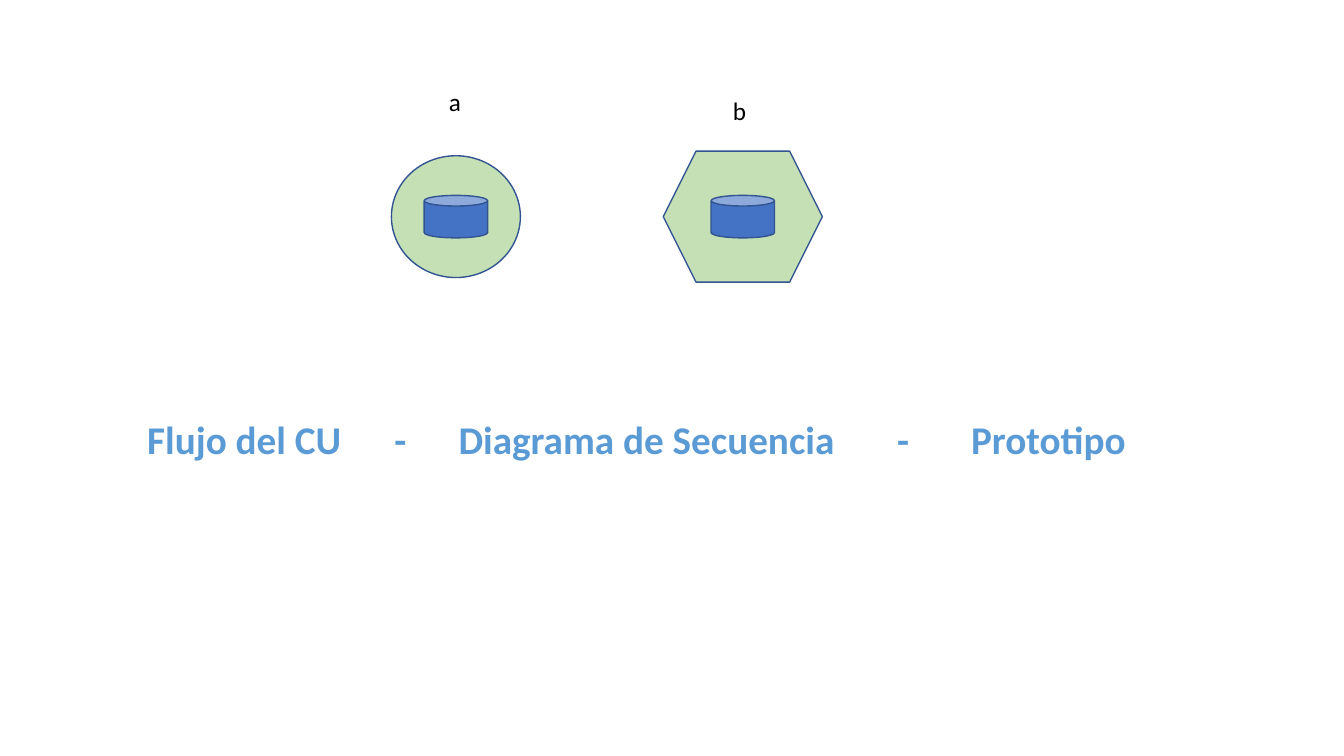
"""Build a slide with two lettered data symbols and a title naming three deliverables."""
from dataclasses import dataclass

from lxml.etree import SubElement
from pptx import Presentation
from pptx.dml.color import RGBColor
from pptx.enum.shapes import MSO_SHAPE
from pptx.enum.text import MSO_ANCHOR, MSO_AUTO_SIZE, PP_ALIGN
from pptx.oxml.ns import qn
from pptx.slide import Slide
from pptx.text.text import Font
from pptx.util import Cm, Pt

FONT = "Calibri"
GREEN, BLUE, OUTLINE = "C5E0B4", "4472C4", "325491"
BLACK, TITLE_BLUE = "000000", "5B9BD5"
CENTER_Y = 5.46
CAN_WIDTH, CAN_HEIGHT = 1.6, 1.07
LABEL_WIDTH, LABEL_HEIGHT = 0.84, 1.02
TITLE_PARTS = ("Flujo del CU", "-", "Diagrama de Secuencia", "-", "Prototipo")
TITLE_STOPS = (6.38, 12.58, 19.05, 22.71)


@dataclass(frozen=True)
class DataSymbol:
    letter: str
    outline: MSO_SHAPE
    center_x: float
    width: float
    height: float
    letter_x: float
    letter_top: float


SYMBOLS = (
    DataSymbol("b", MSO_SHAPE.HEXAGON, 18.72, 4.01, 3.3, 18.64, 2.29),
    DataSymbol("a", MSO_SHAPE.OVAL, 11.49, 3.25, 3.07, 11.48, 2.06),
)


def color(value: str) -> RGBColor:
    return RGBColor.from_string(value)


def style_font(font: Font, size: float, value: str, bold: bool = False) -> None:
    font.name = FONT
    font.size = Pt(size)
    font.bold = bold
    font.color.rgb = color(value)


def draw_centered(slide: Slide, kind: MSO_SHAPE, center_x: float,
                  width: float, height: float, fill: str) -> None:
    shape = slide.shapes.add_shape(
        kind, Cm(center_x - width / 2), Cm(CENTER_Y - height / 2), Cm(width), Cm(height))
    shape.shadow.inherit = False
    shape.fill.solid()
    shape.fill.fore_color.rgb = color(fill)
    shape.line.color.rgb = color(OUTLINE)
    shape.line.width = Pt(1)


def draw_symbol(slide: Slide, symbol: DataSymbol) -> None:
    draw_centered(slide, symbol.outline, symbol.center_x, symbol.width, symbol.height, GREEN)
    draw_centered(slide, MSO_SHAPE.CAN, symbol.center_x, CAN_WIDTH, CAN_HEIGHT, BLUE)
    label = slide.shapes.add_textbox(
        Cm(symbol.letter_x - LABEL_WIDTH / 2), Cm(symbol.letter_top),
        Cm(LABEL_WIDTH), Cm(LABEL_HEIGHT))
    frame = label.text_frame
    frame.text = symbol.letter
    frame.word_wrap = False
    frame.auto_size = MSO_AUTO_SIZE.SHAPE_TO_FIT_TEXT
    style_font(frame.paragraphs[0].runs[0].font, 18, BLACK)


def write_title(slide: Slide) -> None:
    title = slide.shapes.title
    title.left, title.top, title.width, title.height = Cm(2.77), Cm(10.34), Cm(26.52), Cm(1.45)
    frame = title.text_frame
    frame.text = "\t".join(TITLE_PARTS)
    frame.word_wrap = True
    frame.auto_size = MSO_AUTO_SIZE.NONE
    frame.vertical_anchor = MSO_ANCHOR.MIDDLE
    frame.margin_left = Cm(0.94)
    paragraph = frame.paragraphs[0]
    paragraph.alignment = PP_ALIGN.LEFT
    tabs = SubElement(paragraph._p.get_or_add_pPr(), qn("a:tabLst"))
    for stop in TITLE_STOPS:
        SubElement(tabs, qn("a:tab"), pos=str(Cm(stop)), algn="ctr")
    for run in paragraph.runs:
        style_font(run.font, 28, TITLE_BLUE, bold=True)


def main() -> None:
    presentation = Presentation()
    presentation.slide_width, presentation.slide_height = Cm(33.87), Cm(19.05)
    slide = presentation.slides.add_slide(presentation.slide_layouts[5])
    for symbol in SYMBOLS:
        draw_symbol(slide, symbol)
    write_title(slide)
    presentation.save("out.pptx")


if __name__ == "__main__":
    main()
